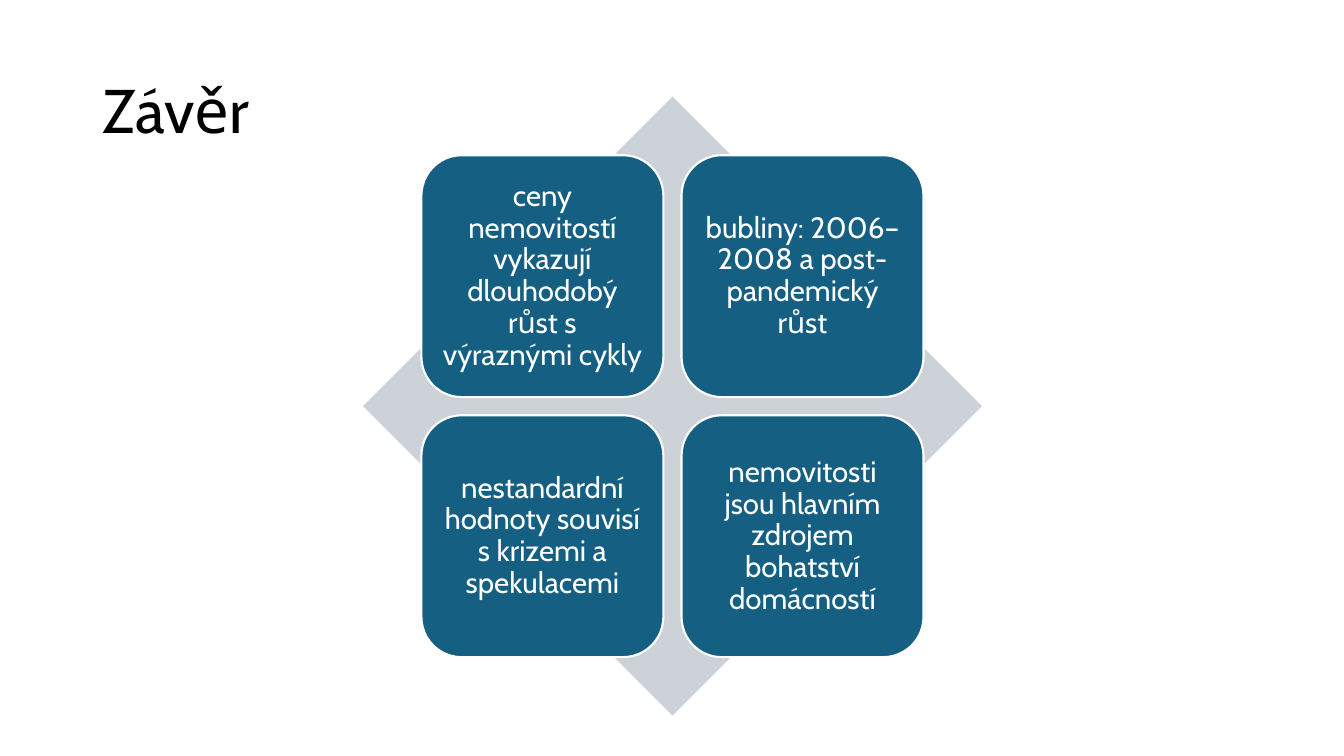
"""Build the closing slide with four conclusions arranged over a diamond."""

from dataclasses import dataclass

from pptx import Presentation
from pptx.dml.color import RGBColor
from pptx.enum.shapes import MSO_SHAPE as Preset
from pptx.enum.text import MSO_ANCHOR as Anchor, PP_ALIGN as Align
from pptx.shapes.autoshape import Shape
from pptx.slide import Slide
from pptx.util import Inches, Pt


@dataclass(frozen=True)
class Theme:
    """Colours, font and type sizes of the slide."""

    font: str = "Cabin"
    title_size: float = 44
    card_size: float = 21
    title_color: str = "000000"
    card_text: str = "FFFFFF"
    card_fill: str = "156082"
    card_line: str = "FFFFFF"
    diamond_fill: str = "CCD2D8"


@dataclass(frozen=True)
class Card:
    """One conclusion and its place in the grid."""

    row: int
    column: int
    text: str


THEME = Theme()
DIAMOND_LEFT, DIAMOND_TOP, DIAMOND_SIZE = 3.6, 0.96, 6.14
GRID_OFFSET, CARD_SIZE, CARD_STEP = 0.58, 2.4, 2.58
CARDS = (
    Card(0, 0, "ceny nemovitostí vykazují dlouhodobý růst s výraznými cykly"),
    Card(0, 1, "bubliny: 2006–2008 a post-pandemický růst"),
    Card(1, 0, "nestandardní hodnoty souvisí s krizemi a spekulacemi"),
    Card(1, 1, "nemovitosti jsou hlavním zdrojem bohatství domácností"),
)


def write_text(shape: Shape, text: str, *, size: float, color: str,
               align: Align = Align.LEFT, side: float = 0.1, edge: float = 0.05) -> None:
    """Fill a shape with one formatted, vertically centred paragraph."""
    frame = shape.text_frame
    frame.word_wrap = True
    frame.vertical_anchor = Anchor.MIDDLE
    frame.margin_left = frame.margin_right = Inches(side)
    frame.margin_top = frame.margin_bottom = Inches(edge)
    paragraph = frame.paragraphs[0]
    paragraph.alignment = align
    paragraph.line_spacing = 0.9
    run = paragraph.add_run()
    run.text = text
    run.font.name = THEME.font
    run.font.size = Pt(size)
    run.font.color.rgb = RGBColor.from_string(color)


def add_square(slide: Slide, preset: Preset, left: float, top: float,
               size: float, fill: str) -> Shape:
    """Add a filled preset shape of equal width and height without outline."""
    shape = slide.shapes.add_shape(
        preset, Inches(left), Inches(top), Inches(size), Inches(size))
    shape.shadow.inherit = False
    shape.fill.solid()
    shape.fill.fore_color.rgb = RGBColor.from_string(fill)
    shape.line.fill.background()
    return shape


def add_title(slide: Slide, text: str) -> None:
    """Add the slide title."""
    title = slide.shapes.add_textbox(
        Inches(0.92), Inches(0.4), Inches(11.5), Inches(1.45))
    write_text(title, text, size=THEME.title_size, color=THEME.title_color)


def add_card(slide: Slide, card: Card) -> None:
    """Add one rounded card at its grid position."""
    left = DIAMOND_LEFT + GRID_OFFSET + card.column * CARD_STEP
    top = DIAMOND_TOP + GRID_OFFSET + card.row * CARD_STEP
    shape = add_square(
        slide, Preset.ROUNDED_RECTANGLE, left, top, CARD_SIZE, THEME.card_fill)
    shape.line.color.rgb = RGBColor.from_string(THEME.card_line)
    shape.line.width = Pt(1.5)
    write_text(shape, card.text, size=THEME.card_size, color=THEME.card_text,
               align=Align.CENTER, side=0.09, edge=0.09)


def main() -> None:
    """Create and save the presentation."""
    presentation = Presentation()
    presentation.slide_width = Inches(13.33)
    presentation.slide_height = Inches(7.5)
    slide = presentation.slides.add_slide(presentation.slide_layouts[6])
    add_title(slide, "Závěr")
    add_square(slide, Preset.DIAMOND, DIAMOND_LEFT, DIAMOND_TOP,
               DIAMOND_SIZE, THEME.diamond_fill)
    for card in CARDS:
        add_card(slide, card)
    presentation.save("out.pptx")


if __name__ == "__main__":
    main()
